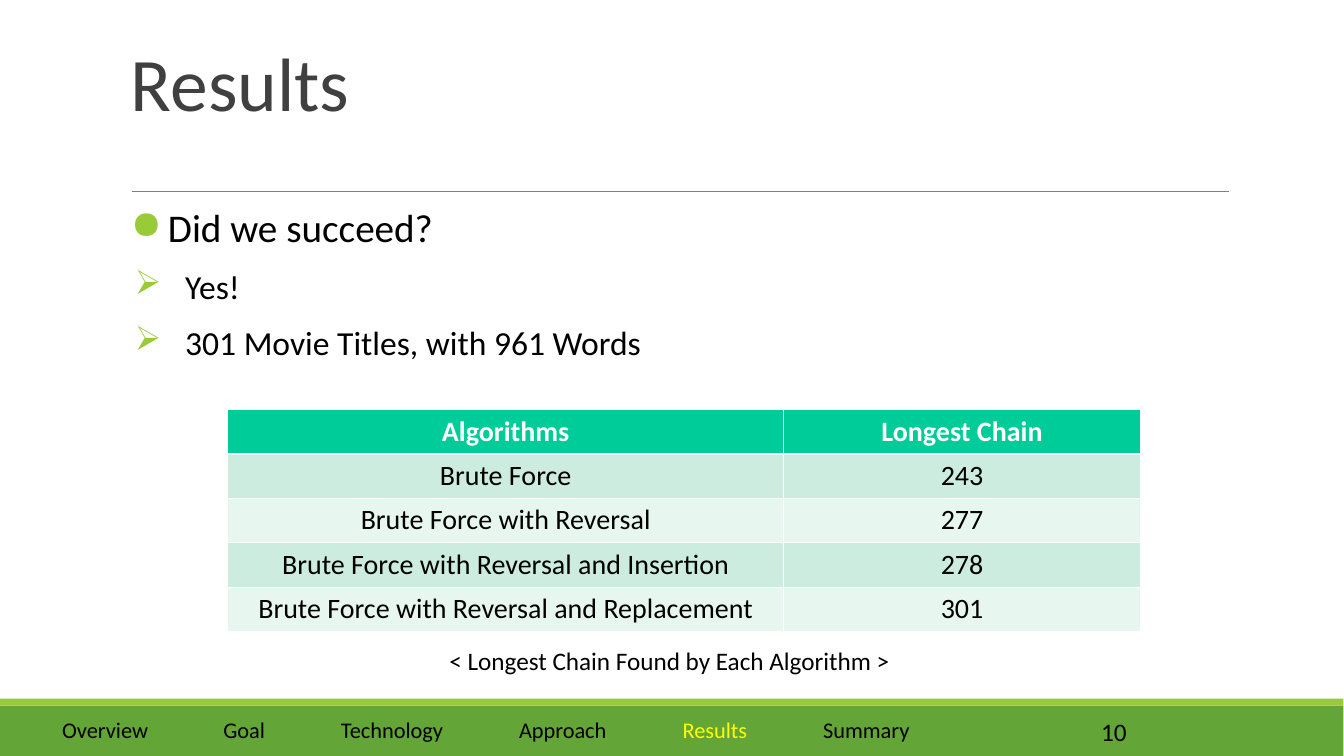
from lxml.etree import SubElement as Sub
from pptx import Presentation
from pptx.dml.color import RGBColor as RGB
from pptx.enum.shapes import MSO_CONNECTOR as Conn, MSO_SHAPE as Shape
from pptx.enum.text import MSO_ANCHOR as Anchor, MSO_AUTO_SIZE as Auto, PP_ALIGN as Align
from pptx.oxml.ns import qn
from pptx.util import Pt

BLACK = RGB(0x00, 0x00, 0x00)
WHITE = RGB(0xFF, 0xFF, 0xFF)
DARK = RGB(0x40, 0x40, 0x40)
GRAY = RGB(0x80, 0x80, 0x80)
GREEN = RGB(0x63, 0xA5, 0x37)
LIME = RGB(0x99, 0xCB, 0x38)
YELLOW = RGB(0xFF, 0xFF, 0x00)
TEAL = RGB(0x00, 0xCC, 0x99)
MINT = RGB(0xCB, 0xEC, 0xDE)
PALE = RGB(0xE7, 0xF6, 0xEF)


def add_run(para, text, size, color=BLACK, bold=False):
    run = para.add_run()
    run.text = text
    font = run.font
    font.name, font.size, font.bold = "Calibri", Pt(size), bold
    font.color.rgb = color


def add_box(left, top, width, height):
    """Add a wrapping text box and return its text frame."""
    box = slide.shapes.add_textbox(Pt(left), Pt(top), Pt(width), Pt(height))
    box.text_frame.word_wrap = True
    return box.text_frame


deck = Presentation()
deck.slide_width, deck.slide_height = Pt(960.5), Pt(540)
slide = deck.slides.add_slide(deck.slide_layouts[5])

# Footer bars and title rule
for top, height, color in [(504, 36, GREEN), (499, 5, LIME)]:
    bar = slide.shapes.add_shape(Shape.RECTANGLE, 0, Pt(top), Pt(960), Pt(height))
    bar.shadow.inherit = False
    bar.fill.solid()
    bar.fill.fore_color.rgb = color
    bar.line.fill.background()

rule = slide.shapes.add_connector(Conn.STRAIGHT, Pt(94.3), Pt(136.8), Pt(878.4), Pt(136.8))
rule.line.color.rgb = GRAY
rule.line.width = Pt(0.5)
Sub(rule.element.spPr, qn("a:effectLst"))

# Title
title = slide.shapes.title
title.left, title.top, title.width, title.height = Pt(86.4), Pt(22.3), Pt(792), Pt(114.5)
frame = title.text_frame
frame.auto_size, frame.vertical_anchor, frame.word_wrap = Auto.NONE, Anchor.TOP, True
para = frame.paragraphs[0]
para.alignment = Align.LEFT
add_run(para, "Results", 54, DARK)

# Bullets: text, size, level, left margin, hanging indent, mark
POINTS = [
    ("Did we succeed?", 28, 0, 26.6, 26.6, "●"),
    ("Yes!", 24, 1, 38.9, 36, "➢"),
    ("301 Movie Titles, with 961 Words", 24, 1, 38.9, 36, "➢"),
]
frame = add_box(86.4, 145.4, 792, 316.8)
for i, (text, size, level, margin, hang, mark) in enumerate(POINTS):
    para = frame.add_paragraph() if i else frame.paragraphs[0]
    para.level = level
    para.line_spacing, para.space_before, para.space_after = 0.9, Pt(12), Pt(2)
    props = para._p.get_or_add_pPr()
    props.set("marL", str(Pt(margin)))
    props.set("indent", str(-Pt(hang)))
    Sub(Sub(props, qn("a:buClr")), qn("a:srgbClr"), val=str(LIME))
    Sub(props, qn("a:buChar"), char=mark)
    add_run(para, text, size)

# Results table
ROWS = [
    ("Algorithms", "Longest Chain"),
    ("Brute Force", "243"),
    ("Brute Force with Reversal", "277"),
    ("Brute Force with Reversal and Insertion", "278"),
    ("Brute Force with Reversal and Replacement", "301"),
]
WIDTHS = [397.4, 254.9]
HIGH = 31.7
table = slide.shapes.add_table(len(ROWS), 2, Pt(162.7), Pt(292.5),
                               Pt(sum(WIDTHS)), Pt(HIGH * len(ROWS))).table
table.horz_banding = False
for col, width in zip(table.columns, WIDTHS):
    col.width = Pt(width)
for r, row in enumerate(ROWS):
    table.rows[r].height = Pt(HIGH)
    head = r == 0
    for c, text in enumerate(row):
        cell = table.cell(r, c)
        props = cell._tc.get_or_add_tcPr()
        for side in "LRTB":
            thick = (r, side) in [(0, "B"), (1, "T")]
            edge = Sub(props, qn("a:ln" + side), w=str(Pt(1.47 if thick else 0.45)))
            Sub(Sub(edge, qn("a:solidFill")), qn("a:srgbClr"), val=str(WHITE))
        cell.fill.solid()
        cell.fill.fore_color.rgb = TEAL if head else MINT if r % 2 else PALE
        para = cell.text_frame.paragraphs[0]
        para.alignment = Align.CENTER
        add_run(para, text, 20, WHITE if head else BLACK, head)

para = add_box(258.5, 457.2, 439.9, 28.8).paragraphs[0]
para.alignment = Align.CENTER
add_run(para, "< Longest Chain Found by Each Algorithm >", 18)

# Footer: section names on tab stops, then the page number
STOPS = [("Overview", 0), ("Goal", 115.2), ("Technology", 199.2),
         ("Approach", 326.5), ("Results", 443.4), ("Summary", 543.8)]
para = add_box(37.4, 508.3, 881.3, 28.8).paragraphs[0]
tabs = Sub(para._p.get_or_add_pPr(), qn("a:tabLst"))
for name, stop in STOPS:
    if stop:
        Sub(tabs, qn("a:tab"), pos=str(Pt(stop)), algn="l")
        add_run(para, "\t", 16)
    add_run(para, name, 16, YELLOW if name == "Results" else BLACK)

para = add_box(779.8, 508.3, 103, 28.8).paragraphs[0]
add_run(para, "10", 18)

deck.save("out.pptx")
